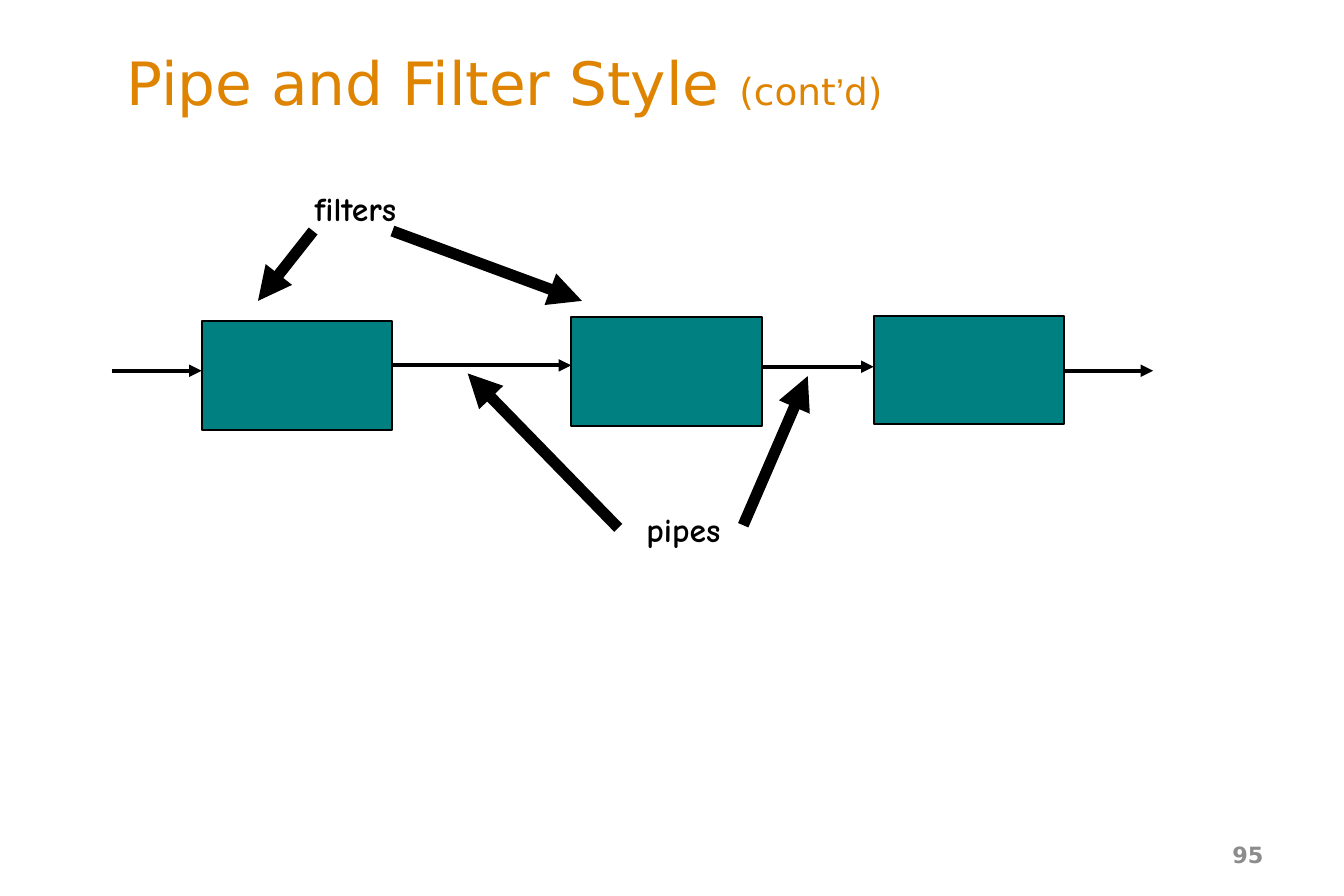
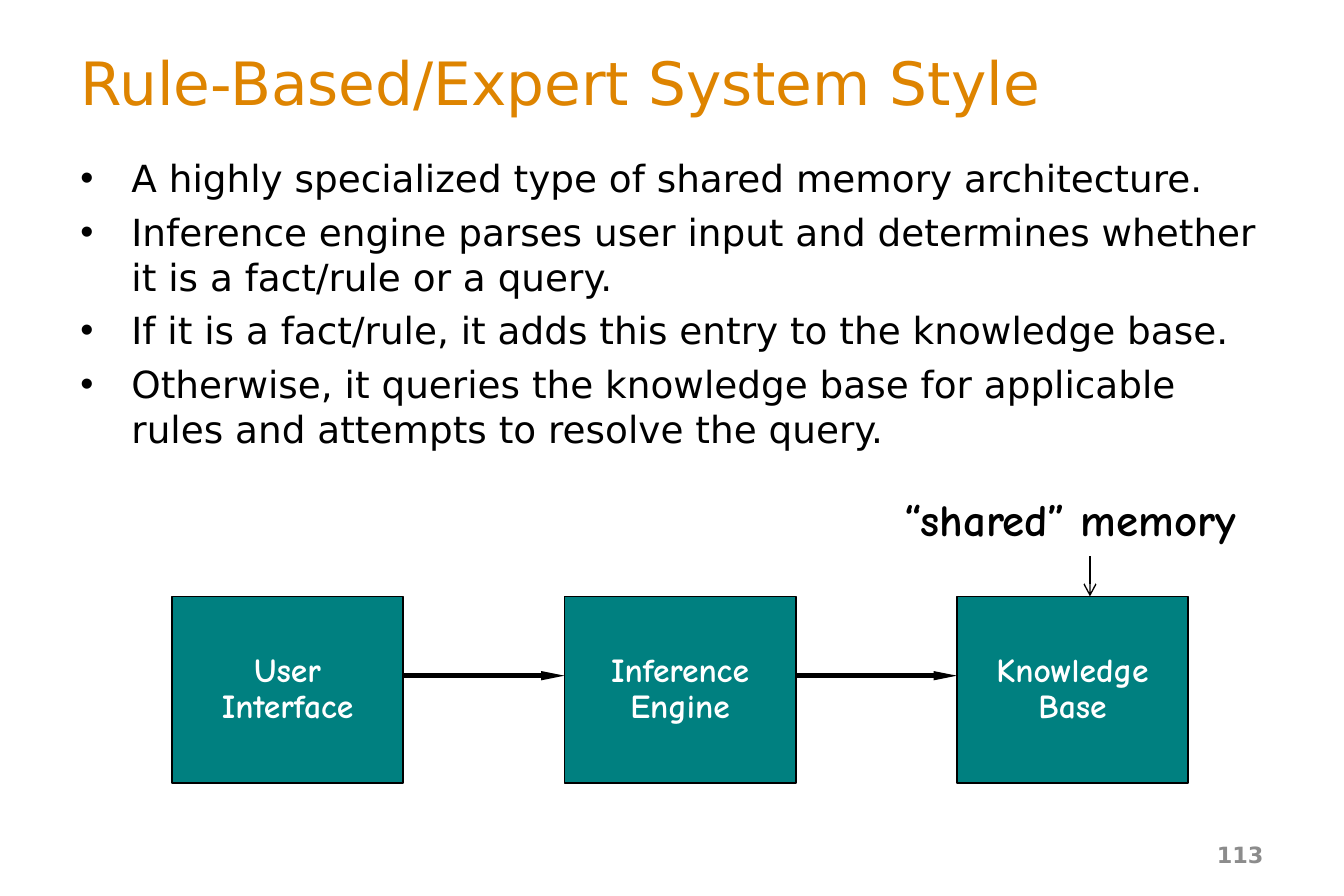
from dataclasses import dataclass

from lxml import etree
from pptx import Presentation
from pptx import util as u
from pptx.dml.color import RGBColor
from pptx.enum import shapes, text
from pptx.oxml import ns

PX = 9144  # EMU in one px, at 100 px to the inch


@dataclass(frozen=True)
class Theme:
    # Colours
    accent: str = "DE8400"
    box: str = "008080"
    ink: str = "000000"
    paper: str = "FFFFFF"
    muted: str = "8C8C8C"
    # Fonts
    main: str = "DejaVu Sans"
    hand: str = "Comic Neue"
    quote: str = "Arial"
    # Type sizes
    title: int = 32
    body: int = 20
    callout: int = 24
    label: int = 18
    page: int = 12


class Deck:
    def __init__(self, theme, width, height):
        self.theme = theme
        self.prs = Presentation()
        self.prs.slide_width, self.prs.slide_height = width * PX, height * PX
        self.slide = None

    def run(self, paragraph, words, size, color, font, bold=False):
        run = paragraph.add_run()
        run.text = words
        run.font.size, run.font.name, run.font.bold = u.Pt(size), font, bold
        run.font.color.rgb = RGBColor.from_string(color)

    def hand_lines(self, frame, lines, size, color, align):
        """Handwritten lines, one paragraph each."""
        for i, line in enumerate(lines):
            paragraph = frame.add_paragraph() if i else frame.paragraphs[0]
            paragraph.alignment, paragraph.line_spacing = align, 0.9
            self.run(paragraph, line, size, color, self.theme.hand, True)

    def frame(self, left, top, width, height, wrap=True, anchor=text.MSO_ANCHOR.MIDDLE):
        box = self.slide.shapes.add_textbox(left * PX, top * PX, width * PX, height * PX)
        frame = box.text_frame
        frame.word_wrap, frame.vertical_anchor = wrap, anchor
        return frame

    def start(self, page, left, width, title_runs):
        """New slide with its title and page number; a run is (words, size, font)."""
        t = self.theme
        self.slide = self.prs.slides.add_slide(self.prs.slide_layouts[5])
        title = self.slide.shapes.title
        title.left, title.top = left * PX, 27 * PX
        title.width, title.height = width * PX, 67 * PX
        frame = title.text_frame
        frame.word_wrap, frame.auto_size = True, text.MSO_AUTO_SIZE.NONE
        frame.vertical_anchor = text.MSO_ANCHOR.MIDDLE
        frame.paragraphs[0].alignment = text.PP_ALIGN.LEFT
        for words, size, font in title_runs:
            self.run(frame.paragraphs[0], words, size, t.accent, font)

        number = self.frame(717, 618, 233, 36).paragraphs[0]
        number.alignment = text.PP_ALIGN.RIGHT
        self.run(number, str(page), t.page, t.muted, t.main, True)

    def bullets(self, left, top, width, height, items):
        t = self.theme
        frame = self.frame(left, top, width, height, anchor=text.MSO_ANCHOR.TOP)
        for i, item in enumerate(items):
            paragraph = frame.add_paragraph() if i else frame.paragraphs[0]
            props = paragraph._p.get_or_add_pPr()
            props.set("marL", str(38 * PX))
            props.set("indent", str(-38 * PX))
            etree.SubElement(props, ns.qn("a:buFont"), typeface=t.quote)
            etree.SubElement(props, ns.qn("a:buChar"), char="•")
            if i:
                paragraph.space_before = u.Pt(4.7)
            self.run(paragraph, item, t.body, t.ink, t.main)

    def box(self, left, top, width, height, lines=()):
        t = self.theme
        box = self.slide.shapes.add_shape(
            shapes.MSO_SHAPE.RECTANGLE, left * PX, top * PX, width * PX, height * PX)
        box.shadow.inherit = False
        box.fill.solid()
        box.fill.fore_color.rgb = RGBColor.from_string(t.box)
        box.line.color.rgb = RGBColor.from_string(t.ink)
        box.line.width = u.Pt(1)
        box.text_frame.word_wrap = False
        box.text_frame.vertical_anchor = text.MSO_ANCHOR.MIDDLE
        self.hand_lines(box.text_frame, lines, t.label, t.paper, text.PP_ALIGN.CENTER)

    def arrow(self, start, end, weight, head="triangle", head_width="med", head_length="med"):
        line = self.slide.shapes.add_connector(
            shapes.MSO_CONNECTOR.STRAIGHT, *(n * PX for n in (*start, *end)))
        line.line.color.rgb = RGBColor.from_string(self.theme.ink)
        line.line.width = u.Pt(weight)
        etree.SubElement(line.line._get_or_add_ln(), ns.qn("a:tailEnd"),
                         type=head, w=head_width, len=head_length)
        etree.SubElement(line._element.spPr, ns.qn("a:effectLst"))

    def label(self, left, top, width, height, words, size, align=text.PP_ALIGN.CENTER, wrap=False):
        frame = self.frame(left, top, width, height, wrap)
        self.hand_lines(frame, [words], size, self.theme.ink, align)


def pipe_and_filter(deck):
    t = deck.theme
    deck.start(95, 84, 850, [
        ("Pipe and Filter Style ", t.title, t.main), ("(cont", t.body, t.main),
        ("’", t.body, t.quote), ("d)", t.body, t.main)])

    # Filters
    for left, top in ((425, 236), (150, 239), (650, 235)):
        deck.box(left, top, 142, 81)

    # Pipes, as left end, right end and height
    for begin, end, y in ((292, 425, 272), (567, 650, 273), (792, 858, 276), (83, 150, 276)):
        deck.arrow((begin, y), (end, y), 2.25)

    # Names of the parts and their pointers
    deck.label(216, 138, 97, 37, "filters", t.label)
    deck.label(468, 377, 81, 38, "pipes", t.label)
    for start, end in (((233, 172), (192, 224)), ((292, 172), (433, 224)),
                       ((553, 391), (601, 280)), ((460, 393), (348, 278))):
        deck.arrow(start, end, 6)


def rule_based(deck):
    t = deck.theme
    deck.start(113, 50, 900, [("Rule-Based/Expert System Style", t.title, t.main)])
    deck.bullets(50, 111, 900, 240, [
        "A highly specialized type of shared memory architecture.",
        "Inference engine parses user input and determines whether it is a fact/rule or a query.",
        "If it is a fact/rule, it adds this entry to the knowledge base.",
        "Otherwise, it queries the knowledge base for applicable rules and attempts to resolve the query.",
    ])

    # Chain of components
    first, pitch, width, top = 128, 292, 172, 444
    components = (("User", "Interface"), ("Inference", "Engine"), ("Knowledge", "Base"))
    for i, lines in enumerate(components):
        left = first + i * pitch
        deck.box(left, top, width, 139, lines)
        if i:
            deck.arrow((left - pitch + width, 503), (left, 503), 2.5,
                       head_width="sm", head_length="lg")

    # Shared memory callout
    deck.label(663, 365, 307, 47, "“shared” memory", t.callout, text.PP_ALIGN.LEFT, True)
    deck.arrow((811, 414), (811, top), 0.75, "arrow")


def main():
    deck = Deck(Theme(), 1000, 667)
    pipe_and_filter(deck)
    rule_based(deck)
    deck.prs.save("out.pptx")


if __name__ == "__main__":
    main()
